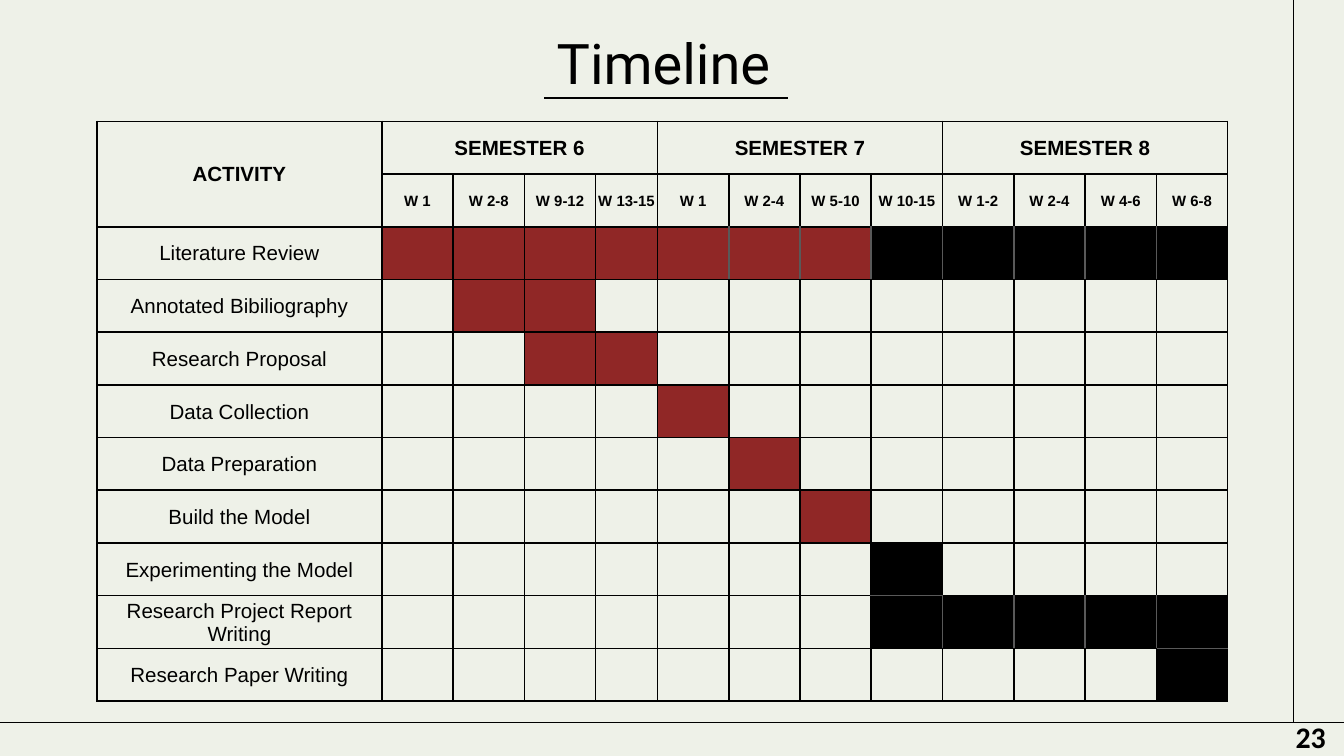
from dataclasses import dataclass

import pptx
import pptx.dml.color
import pptx.enum.shapes
import pptx.enum.text
import pptx.oxml
import pptx.oxml.ns
import pptx.util
from lxml import etree

Pt = pptx.util.Pt
ALIGN = pptx.enum.text.PP_ALIGN
ANCHOR = pptx.enum.text.MSO_ANCHOR
AUTO_SIZE = pptx.enum.text.MSO_AUTO_SIZE


@dataclass(frozen=True)
class Theme:
    background: str = "EEF1E8"
    ink: str = "000000"
    done: str = "902726"
    planned: str = "000000"
    divider: str = "595959"
    title_font: str = "Roboto"
    table_font: str = "Arial"
    number_font: str = "Calibri"
    title_size: float = 30
    number_size: float = 16
    table_size: float = 11
    week_size: float = 8
    rule_width: float = 0.75
    border_width: float = 1


def rgb(color):
    return pptx.dml.color.RGBColor.from_string(color)


def apply(target, values):
    for name, value in values.items():
        setattr(target, name, value)


class SlideBuilder:
    def __init__(self, slide, theme):
        self.slide = slide
        self.theme = theme
        fill = slide.background.fill
        fill.solid()
        fill.fore_color.rgb = rgb(theme.background)

    def label(self, frame, text, size, font, bold=False, align=ALIGN.CENTER):
        paragraph = frame.paragraphs[0]
        paragraph.alignment = align
        run = paragraph.add_run()
        run.text = text
        apply(run.font, {"size": Pt(size), "name": font, "bold": bold})
        run.font.color.rgb = rgb(self.theme.ink)

    def title(self, text, left, top, width, height):
        shape = self.slide.shapes.title
        apply(shape, {"left": Pt(left), "top": Pt(top), "width": Pt(width), "height": Pt(height)})
        margins = {f"margin_{side}": Pt(7.2) for side in ("left", "top", "right", "bottom")}
        apply(shape.text_frame, {
            "word_wrap": True,
            "auto_size": AUTO_SIZE.NONE,
            "vertical_anchor": ANCHOR.TOP,
            **margins,
        })
        self.label(shape.text_frame, text, self.theme.title_size, self.theme.title_font)

    def text(self, text, left, top, width, height):
        shape = self.slide.shapes.add_textbox(Pt(left), Pt(top), Pt(width), Pt(height))
        apply(shape.text_frame, {"word_wrap": True, "auto_size": AUTO_SIZE.SHAPE_TO_FIT_TEXT})
        self.label(shape.text_frame, text, self.theme.number_size, self.theme.number_font,
                   bold=True, align=ALIGN.LEFT)

    def line(self, *ends):
        connector = self.slide.shapes.add_connector(
            pptx.enum.shapes.MSO_CONNECTOR.STRAIGHT, *map(Pt, ends))
        connector.line.color.rgb = rgb(self.theme.ink)
        connector.line.width = Pt(self.theme.rule_width)
        etree.SubElement(connector._element.spPr, pptx.oxml.ns.qn("a:effectLst"))

    def table(self, left, top, widths, heights):
        shape = self.slide.shapes.add_table(
            len(heights), len(widths), Pt(left), Pt(top), Pt(sum(widths)), Pt(sum(heights)))
        table = shape.table
        apply(table, {"first_row": False, "horz_banding": False})
        for column, width in zip(table.columns, widths):
            column.width = Pt(width)
        for row, height in zip(table.rows, heights):
            row.height = Pt(height)
        return table

    def cell(self, cell, fill, borders):
        apply(cell, {
            "margin_left": Pt(0.72),
            "margin_right": Pt(0.72),
            "margin_top": Pt(0.72),
            "margin_bottom": 0,
            "vertical_anchor": ANCHOR.MIDDLE,
        })
        properties = cell._tc.get_or_add_tcPr()
        for side, color in borders.items():
            properties.append(pptx.oxml.parse_xml(
                f'<a:ln{side} {pptx.oxml.ns.nsdecls("a")} w="{Pt(self.theme.border_width)}">'
                f'<a:solidFill><a:srgbClr val="{color}"/></a:solidFill></a:ln{side}>'))
        if fill:
            cell.fill.solid()
            cell.fill.fore_color.rgb = rgb(fill)
        else:
            cell.fill.background()

    def timeline(self, left, top, widths, row_height, semesters, activities, done_until):
        theme = self.theme
        weeks_per_semester = 4
        heading_rows = 2
        first_divided_column = 1 + weeks_per_semester
        heights = [row_height] * (heading_rows + len(activities))
        table = self.table(left, top, widths, heights)
        fills = {
            (row, column): theme.done if column <= done_until else theme.planned
            for row, (_, first, last) in enumerate(activities, heading_rows)
            for column in range(first, last + 1)
        }

        def border(row, column, row_step, column_step):
            pair = [(row, column), (row + row_step, column + column_step)]
            divided = all(place in fills and place[1] >= first_divided_column for place in pair)
            return theme.divider if divided else theme.ink

        steps = {"L": (0, -1), "R": (0, 1), "T": (-1, 0), "B": (1, 0)}
        for row in range(len(heights)):
            for column in range(len(widths)):
                borders = {side: border(row, column, *step) for side, step in steps.items()}
                self.cell(table.cell(row, column), fills.get((row, column)), borders)

        def cell_label(row, column, text, size, bold):
            self.label(table.cell(row, column).text_frame, text, size, theme.table_font, bold)

        table.cell(0, 0).merge(table.cell(1, 0))
        cell_label(0, 0, "ACTIVITY", theme.table_size, True)
        for index, (name, weeks) in enumerate(semesters):
            start = 1 + index * weeks_per_semester
            table.cell(0, start).merge(table.cell(0, start + weeks_per_semester - 1))
            cell_label(0, start, name, theme.table_size, True)
            for column, week in enumerate(weeks, start):
                cell_label(1, column, f"W {week}", theme.week_size, True)
        for row, (name, _, _) in enumerate(activities, heading_rows):
            cell_label(row, 0, name, theme.table_size, False)


SEMESTERS = [
    ("SEMESTER 6", ["1", "2-8", "9-12", "13-15"]),
    ("SEMESTER 7", ["1", "2-4", "5-10", "10-15"]),
    ("SEMESTER 8", ["1-2", "2-4", "4-6", "6-8"]),
]
ACTIVITIES = [
    ("Literature Review", 1, 12),
    ("Annotated Bibiliography", 2, 3),
    ("Research Proposal", 3, 4),
    ("Data Collection", 5, 5),
    ("Data Preparation", 6, 6),
    ("Build the Model", 7, 7),
    ("Experimenting the Model", 8, 8),
    ("Research Project Report Writing", 8, 12),
    ("Research Paper Writing", 12, 12),
]
DONE_UNTIL = 7
COLUMN_WIDTHS = [152.6] + [38.2] * 3 + [33.1] + [38.2] * 8


def main():
    presentation = pptx.Presentation()
    apply(presentation, {"slide_width": Pt(720), "slide_height": Pt(405)})
    slide = presentation.slides.add_slide(presentation.slide_layouts[5])
    builder = SlideBuilder(slide, Theme())
    builder.line(693, 0, 693, 387)
    builder.line(0, 387, 720, 387)
    builder.title("Timeline", 52, 8, 607, 45.4)
    builder.timeline(52, 65, COLUMN_WIDTHS, 28.25, SEMESTERS, ACTIVITIES, DONE_UNTIL)
    builder.line(291.5, 52.6, 422, 52.6)
    builder.text("23", 687, 381.5, 33, 26.6)
    presentation.save("out.pptx")


if __name__ == "__main__":
    main()
